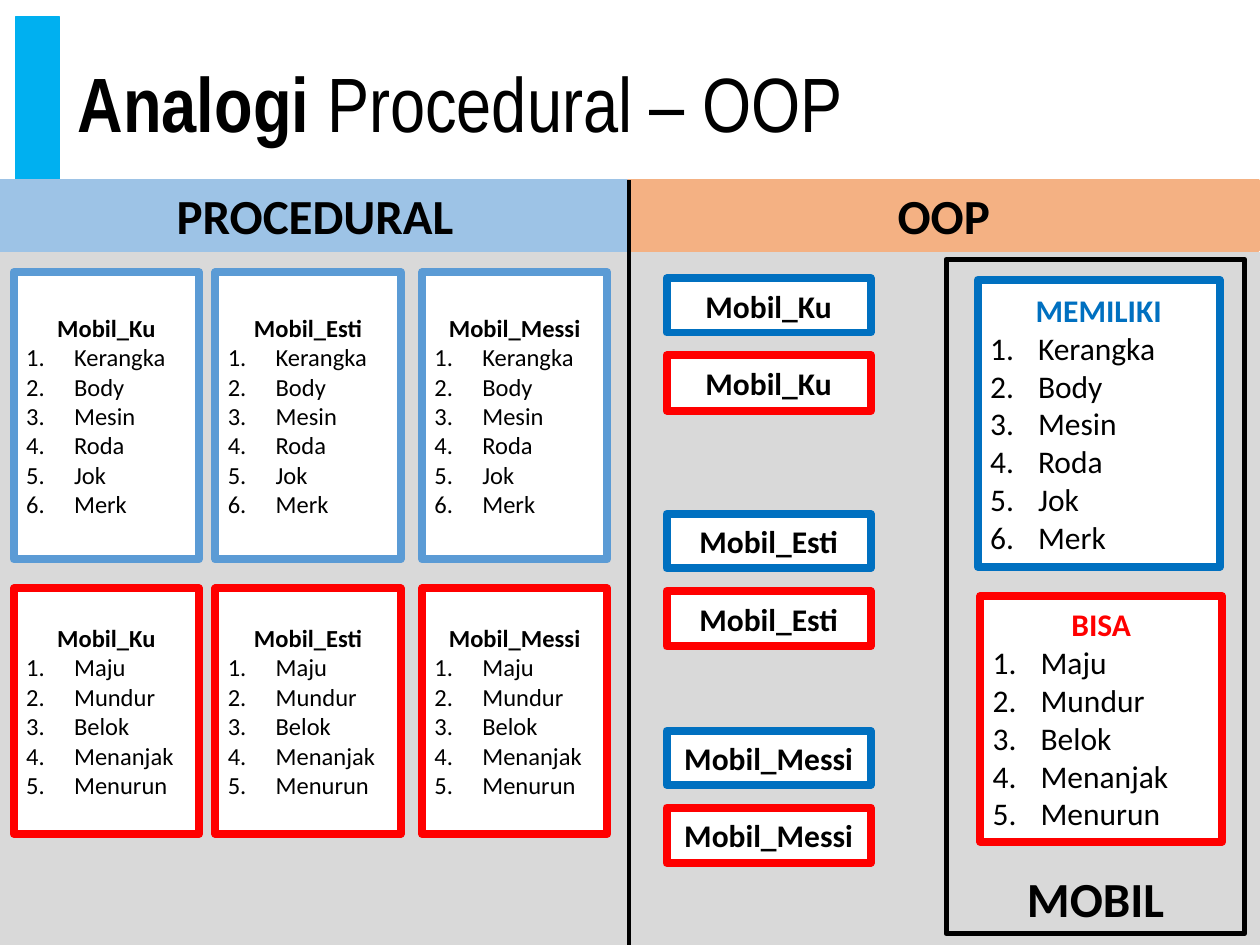
from lxml import etree
from pptx import Presentation
from pptx import util as u
from pptx.dml.color import RGBColor
from pptx.enum import shapes, text
from pptx.oxml.ns import qn

BLACK, WHITE, GREY = "000000", "FFFFFF", "D9D9D9"
BLUE, LIGHT_BLUE, RED = "0070C0", "5B9BD5", "FF0000"
CENTER = text.PP_ALIGN.CENTER
MIDDLE, BOTTOM = text.MSO_ANCHOR.MIDDLE, text.MSO_ANCHOR.BOTTOM

CARS = ["Mobil_Ku", "Mobil_Esti", "Mobil_Messi"]
PARTS = ["Kerangka", "Body", "Mesin", "Roda", "Jok", "Merk"]
ACTIONS = ["Maju", "Mundur", "Belok", "Menanjak", "Menurun"]


def rgb(value):
    return RGBColor.from_string(value)


def add_run(p, words, size=18, color=BLACK, bold=False, font="Calibri"):
    r = p.add_run()
    r.text = words
    r.font.name, r.font.size, r.font.bold = font, u.Pt(size), bold
    r.font.color.rgb = rgb(color)


def number(p, indent=0.38):
    pPr = p._p.get_or_add_pPr()
    pPr.set("marL", str(u.Inches(indent)))
    pPr.set("indent", str(-u.Inches(indent)))
    font = etree.SubElement(pPr, qn("a:buFont"))
    font.set("typeface", "+mj-lt")
    etree.SubElement(pPr, qn("a:buAutoNum")).set("type", "arabicPeriod")


class Board:
    """Draws the elements of one slide."""

    def __init__(self, slide):
        self.s = slide

    def box(self, x, y, w, h, fill=None, line=None, width=4.5):
        sp = self.s.shapes.add_shape(
            shapes.MSO_SHAPE.RECTANGLE, *map(u.Inches, (x, y, w, h)))
        sp.shadow.inherit = False
        if fill:
            sp.fill.solid()
            sp.fill.fore_color.rgb = rgb(fill)
        else:
            sp.fill.background()
        if line:
            sp.line.color.rgb = rgb(line)
            sp.line.width = u.Pt(width)
        else:
            sp.line.fill.background()
        return sp

    def label(self, sp, words, anchor=MIDDLE, **style):
        tf = sp.text_frame
        tf.word_wrap, tf.vertical_anchor = True, anchor
        p = tf.paragraphs[0]
        p.alignment = CENTER
        add_run(p, words, bold=True, **style)
        return tf

    def card(self, x, y, w, h, line, head, items, size, color=BLACK):
        sp = self.box(x, y, w, h, WHITE, line)
        tf = self.label(sp, head, size=size, color=color)
        for item in items:
            p = tf.add_paragraph()
            p.alignment = text.PP_ALIGN.LEFT
            number(p)
            add_run(p, item, size)

    def title(self, strong, rest):
        sp = self.s.shapes.add_textbox(*map(u.Inches, (0.52, 0.13, 9.1, 1.45)))
        tf = sp.text_frame
        tf.word_wrap, tf.vertical_anchor = True, MIDDLE
        p = tf.paragraphs[0]
        p.line_spacing = 0.9
        add_run(p, strong, 44, bold=True, font="Arial Narrow")
        add_run(p, rest, 44, font="Arial Narrow")

    def divider(self, x, top, bottom):
        c = self.s.shapes.add_connector(
            shapes.MSO_CONNECTOR.STRAIGHT, *map(u.Inches, (x, top, x, bottom)))
        c.line.color.rgb = rgb(BLACK)
        c.line.width = u.Pt(2.25)
        etree.SubElement(c._element.spPr, qn("a:effectLst"))


def main():
    prs = Presentation()
    prs.slide_width, prs.slide_height = u.Inches(10), u.Inches(7.5)
    board = Board(prs.slides.add_slide(prs.slide_layouts[6]))

    # Title with accent bar
    board.box(0.13, 0.13, 0.34, 1.45, "00B0F0", "00B0F0", 1)
    board.title("Analogi", " Procedural – OOP")

    # Column headers and backgrounds
    for x, head, color in ((0, "PROCEDURAL", "9DC3E6"), (4.99, "OOP", "F4B183")):
        board.label(board.box(x, 1.43, 5, 0.56, color, color, 1.5), head, size=28)
    for x in (4.99, -0.01):
        board.box(x, 2, 5.01, 5.51, GREY)

    # Procedural: every car repeats its parts and actions
    for x, car in zip((0.11, 1.71, 3.35), CARS):
        board.card(x, 2.16, 1.47, 2.28, LIGHT_BLUE, car, PARTS, 14)
        board.card(x, 4.67, 1.47, 1.95, RED, car, ACTIONS, 14)

    # OOP: one class holds the parts and actions
    board.card(7.76, 2.22, 1.92, 2.28, BLUE, "MEMILIKI", PARTS, 18, BLUE)
    board.card(7.78, 4.73, 1.92, 1.95, RED, "BISA", ACTIONS, 18, RED)
    board.divider(4.99, 1.43, 7.5)
    frame = board.box(7.51, 2.06, 2.37, 5.35, line=BLACK, width=3)
    board.label(frame, "MOBIL", BOTTOM, size=28)

    # OOP: objects of the class
    for y, car in zip((2.21, 4.08, 5.8), CARS):
        for dy, h, color in ((0, 0.43, BLUE), (0.61, 0.44, RED)):
            board.label(board.box(5.29, y + dy, 1.62, h, WHITE, color), car)

    prs.save("out.pptx")


if __name__ == "__main__":
    main()
